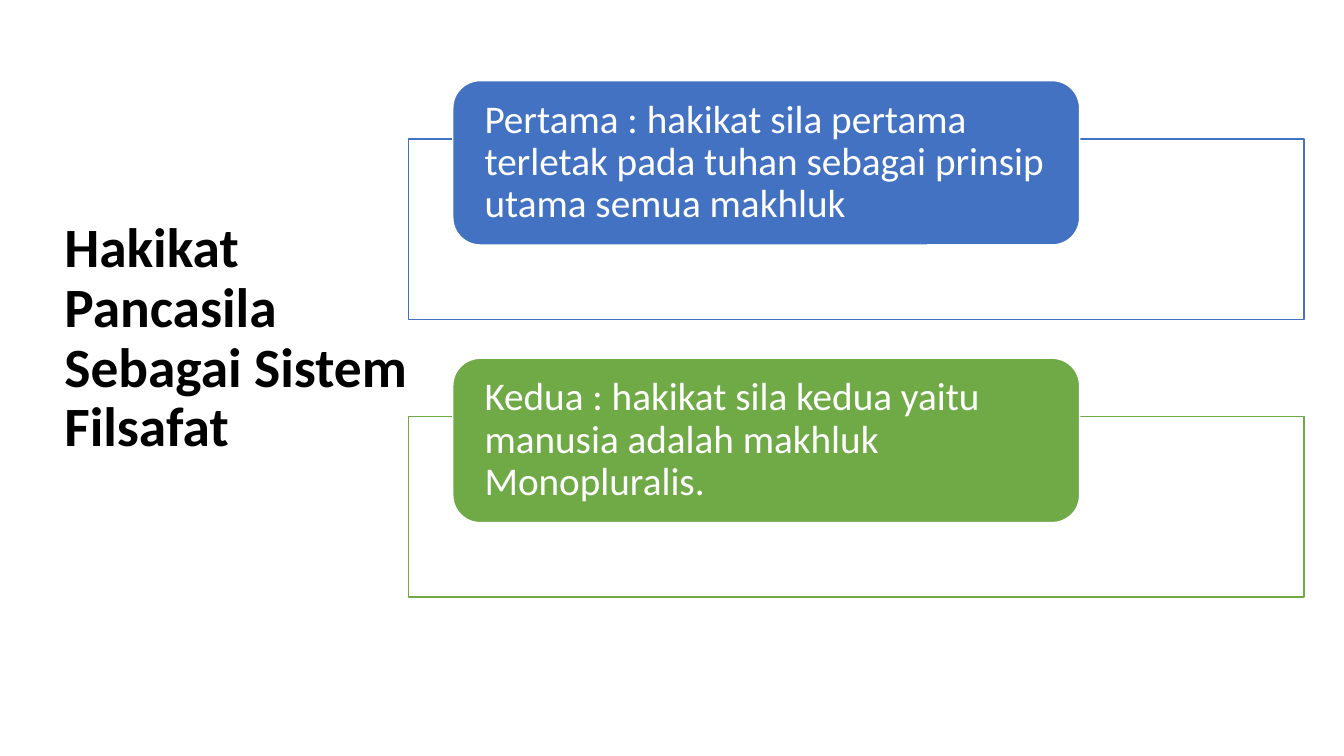
from pptx import Presentation
from pptx.dml.color import RGBColor
from pptx.enum.shapes import MSO_SHAPE as Shape
from pptx.enum.text import MSO_ANCHOR as Anchor, PP_ALIGN as Align
from pptx.util import Pt

COLORS = {"black": "000000", "white": "FFFFFF", "blue": "4372C3", "green": "6FAA47"}
PRINCIPLES = [
    ("Pertama : hakikat sila pertama terletak pada tuhan sebagai prinsip utama semua makhluk", "blue"),
    ("Kedua : hakikat sila kedua yaitu manusia adalah makhluk Monopluralis.", "green"),
]
ROW_PITCH = 198.3


class SlideBuilder:
    def __init__(self, slide, font="Calibri"):
        self.slide = slide
        self.font = font

    def color(self, name):
        return RGBColor.from_string(COLORS[name])

    def set_text(self, shape, text, size, color, bold=False, margins=(7.2, 3.6)):
        frame = shape.text_frame
        frame.word_wrap = True
        frame.vertical_anchor = Anchor.MIDDLE
        frame.margin_left = frame.margin_right = Pt(margins[0])
        frame.margin_top = frame.margin_bottom = Pt(margins[1])
        paragraph = frame.paragraphs[0]
        paragraph.text = text
        paragraph.alignment = Align.LEFT
        paragraph.line_spacing = 0.9
        paragraph.font.name = self.font
        paragraph.font.size = Pt(size)
        paragraph.font.bold = bold
        paragraph.font.color.rgb = self.color(color)

    def title(self, text, left, top, width, height):
        box = self.slide.shapes.add_textbox(Pt(left), Pt(top), Pt(width), Pt(height))
        self.set_text(box, text, 39.6, "black", bold=True)

    def box(self, kind, left, top, width, height, fill, line):
        shape = self.slide.shapes.add_shape(kind, Pt(left), Pt(top), Pt(width), Pt(height))
        shape.shadow.inherit = False
        shape.fill.solid()
        shape.fill.fore_color.rgb = self.color(fill)
        shape.line.color.rgb = self.color(line)
        shape.line.width = Pt(1)
        return shape

    def principle(self, text, color, top):
        self.box(Shape.RECTANGLE, 291.6, top + 41.7, 640, 128.9, "white", color)
        label = self.box(Shape.ROUNDED_RECTANGLE, 323.4, top, 447.8, 117.4, color, "white")
        self.set_text(label, text, 28, "white", margins=(17, 0))


def main():
    presentation = Presentation()
    presentation.slide_width, presentation.slide_height = Pt(960), Pt(540)
    builder = SlideBuilder(presentation.slides.add_slide(presentation.slide_layouts[6]))

    # Title on the left
    builder.title("Hakikat Pancasila Sebagai Sistem Filsafat", 38.9, 149.8, 278, 185)

    # Framed principles on the right
    for row, (text, color) in enumerate(PRINCIPLES):
        builder.principle(text, color, 57.6 + row * ROW_PITCH)

    presentation.save("out.pptx")


if __name__ == "__main__":
    main()
